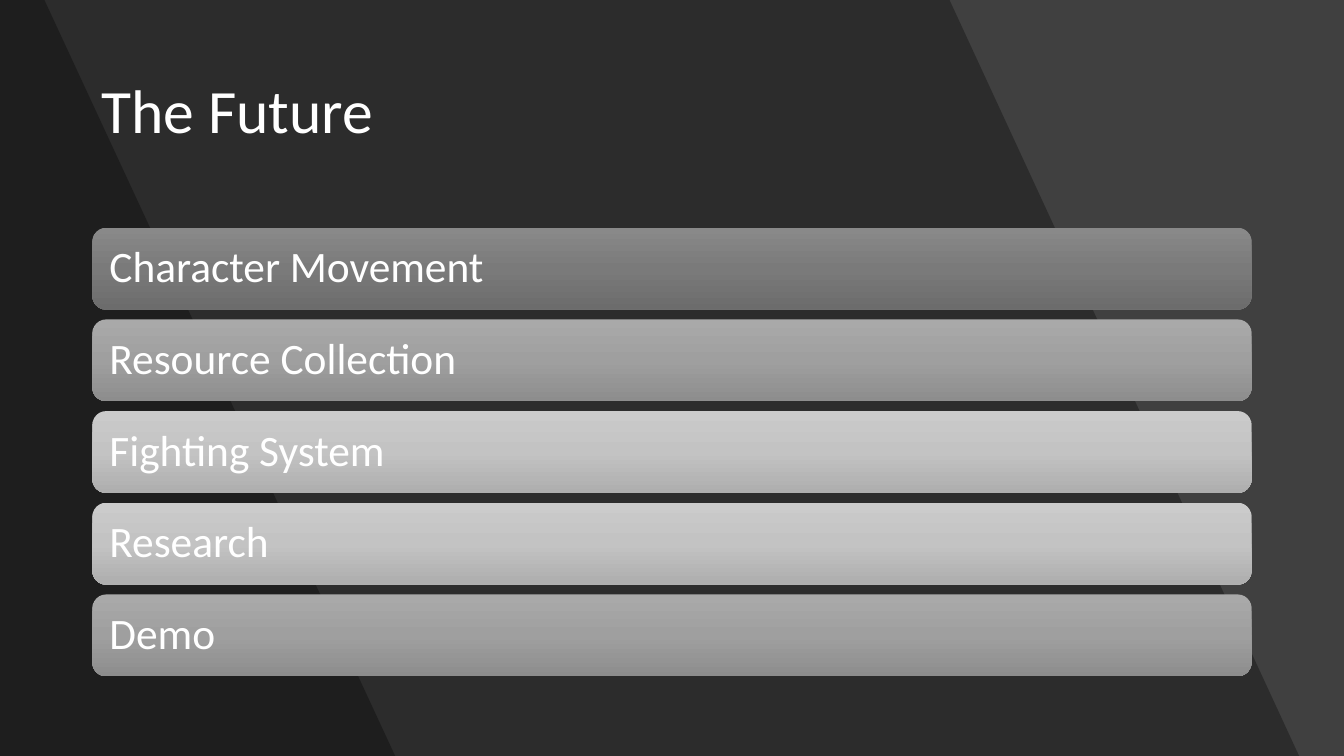
from copy import deepcopy
from dataclasses import dataclass

from lxml.etree import SubElement
from pptx import Presentation
from pptx.dml.color import RGBColor
from pptx.enum.shapes import MSO_SHAPE
from pptx.enum.text import MSO_ANCHOR, PP_ALIGN
from pptx.oxml.ns import qn
from pptx.slide import Slide
from pptx.text.text import TextFrame
from pptx.util import Cm, Pt

WIDTH, HEIGHT = 33.87, 19.05
FONT = "Calibri"
WHITE = RGBColor(0xFF, 0xFF, 0xFF)
BLACK = RGBColor(0x00, 0x00, 0x00)
BACKDROP = RGBColor(0x40, 0x40, 0x40)

# Gradients, top to bottom
DARK = (RGBColor(0x89, 0x89, 0x89), RGBColor(0x7A, 0x7A, 0x7A), RGBColor(0x6C, 0x6C, 0x6C))
MEDIUM = (RGBColor(0xA9, 0xA9, 0xA9), RGBColor(0x9F, 0x9F, 0x9F), RGBColor(0x8D, 0x8D, 0x8D))
LIGHT = (RGBColor(0xCB, 0xCB, 0xCB), RGBColor(0xC3, 0xC3, 0xC3), RGBColor(0xAE, 0xAE, 0xAE))

BAR_LEFT, BAR_TOP, BAR_WIDTH, BAR_HEIGHT = 2.33, 5.74, 29.21, 2.06
BAR_PITCH = 2.31
BAR_INSET = 0.33


@dataclass
class Shade:
    """Translucent band from the left edge to a slanted side."""
    top_right: float
    bottom_right: float


@dataclass
class Bar:
    text: str
    gradient: tuple[RGBColor, RGBColor, RGBColor]


SHADES = [Shade(23.93, 32.74), Shade(1.12, 9.96)]
BARS = [
    Bar("Character Movement", DARK),
    Bar("Resource Collection", MEDIUM),
    Bar("Fighting System", LIGHT),
    Bar("Research", LIGHT),
    Bar("Demo", MEDIUM),
]


def add_shade(slide: Slide, shade: Shade) -> None:
    builder = slide.shapes.build_freeform(0, 0)
    builder.add_line_segments([
        (Cm(shade.top_right), 0),
        (Cm(shade.bottom_right), Cm(HEIGHT)),
        (0, Cm(HEIGHT)),
    ])
    s = builder.convert_to_shape()
    s.shadow.inherit = False
    s.line.fill.background()
    s.fill.solid()
    s.fill.fore_color.rgb = BLACK
    color = s._element.spPr.find(qn("a:solidFill"))[0]
    SubElement(color, qn("a:alpha"), val="30000")


def set_text(tf: TextFrame, text: str, size: float) -> None:
    tf.word_wrap = True
    tf.vertical_anchor = MSO_ANCHOR.MIDDLE
    p = tf.paragraphs[0]
    p.text = text
    p.alignment = PP_ALIGN.LEFT
    p.line_spacing = 0.9
    p.font.name = FONT
    p.font.size = Pt(size)
    p.font.color.rgb = WHITE


def add_bar(slide: Slide, bar: Bar, top: float) -> None:
    s = slide.shapes.add_shape(MSO_SHAPE.ROUNDED_RECTANGLE, Cm(BAR_LEFT), Cm(top),
                               Cm(BAR_WIDTH), Cm(BAR_HEIGHT))
    s.shadow.inherit = False
    s.line.fill.background()

    # Three gradient stops, evenly spaced
    s.fill.gradient()
    s.fill.gradient_angle = 270
    stop_list = s._element.spPr.find(qn("a:gradFill")).find(qn("a:gsLst"))
    stop_list.append(deepcopy(stop_list[0]))
    for i, (stop, color) in enumerate(zip(s.fill.gradient_stops, bar.gradient)):
        stop.position = i / 2
        stop.color.rgb = color

    tf = s.text_frame
    tf.margin_left = tf.margin_right = Cm(BAR_INSET)
    tf.margin_top = tf.margin_bottom = Cm(BAR_INSET)
    set_text(tf, bar.text, 31)


def main() -> None:
    prs = Presentation()
    prs.slide_width, prs.slide_height = Cm(WIDTH), Cm(HEIGHT)
    slide = prs.slides.add_slide(prs.slide_layouts[6])

    # Background
    slide.background.fill.solid()
    slide.background.fill.fore_color.rgb = BACKDROP
    for shade in SHADES:
        add_shade(slide, shade)

    # Title
    title = slide.shapes.add_textbox(Cm(2.31), Cm(1.02), Cm(29.24), Cm(3.68))
    set_text(title.text_frame, "The Future", 44)

    # List of bars
    for i, bar in enumerate(BARS):
        add_bar(slide, bar, BAR_TOP + i * BAR_PITCH)

    prs.save("out.pptx")


if __name__ == "__main__":
    main()
